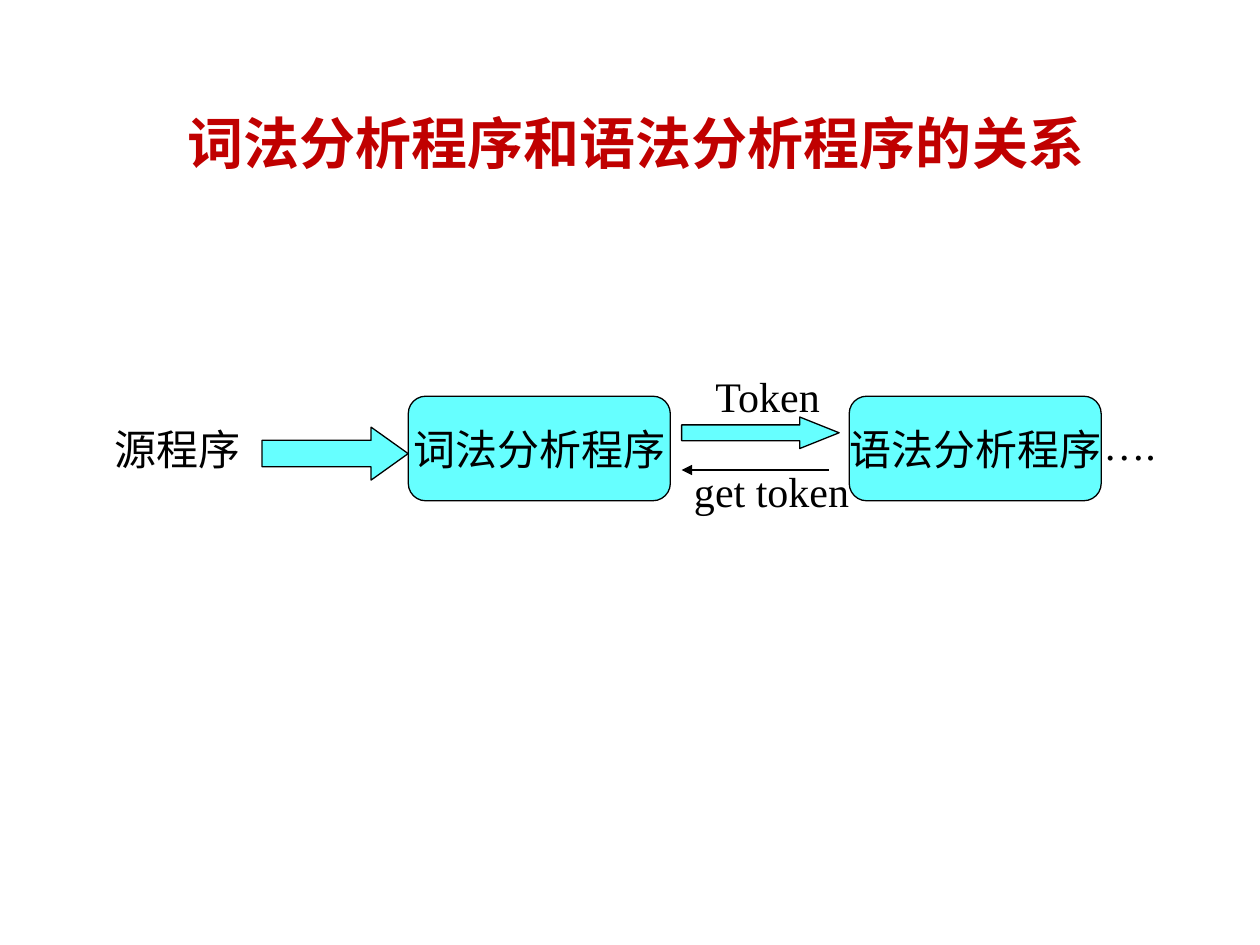
from dataclasses import dataclass
from typing import Optional

from lxml.etree import SubElement
from pptx import Presentation
from pptx.dml.color import RGBColor
from pptx.enum.shapes import MSO_CONNECTOR, MSO_SHAPE
from pptx.enum.text import MSO_ANCHOR, MSO_AUTO_SIZE, PP_ALIGN
from pptx.oxml.ns import qn
from pptx.util import Inches, Pt


@dataclass(frozen=True)
class Theme:
    font: str = "Times New Roman"
    title_size: int = 32
    label_size: int = 24
    line_width: float = 0.75
    title: RGBColor = RGBColor(0xC0, 0x00, 0x00)
    ink: RGBColor = RGBColor(0x00, 0x00, 0x00)
    paper: RGBColor = RGBColor(0xFF, 0xFF, 0xFF)
    accent: RGBColor = RGBColor(0x66, 0xFF, 0xFF)


@dataclass(frozen=True)
class Area:
    """A place on a grid of 100 columns and 75 rows."""
    column: float
    row: float
    columns: float
    rows: float


@dataclass(frozen=True)
class Stage:
    text: str
    column: float
    columns: float
    opacity: Optional[int] = None  # percent; None marks a solid, outlined box


@dataclass(frozen=True)
class Arrow:
    area: Area
    head: float


@dataclass(frozen=True)
class Label:
    text: str
    area: Area


THEME = Theme()
WIDTH, HEIGHT = Inches(10), Inches(7.5)
COLUMN, ROW = WIDTH / 100, HEIGHT / 75

TITLE = "词法分析程序和语法分析程序的关系"
TITLE_AREA = Area(7.5, 5, 85, 12.5)
STAGE_ROW, STAGE_ROWS = 31.45, 8.3
STAGES = [
    Stage("源程序", 8.3, 11.6, opacity=50),
    Stage("词法分析程序", 32.4, 20.8),
    Stage("语法分析程序", 67.4, 20),
]
ARROWS = [
    Arrow(Area(20.8, 33.9, 11.6, 4.2), head=0.7),
    Arrow(Area(54.1, 33.1, 12.5, 2.5), head=1.25),
]
LABELS = [
    Label("Token", Area(55.8, 28.95, 10.5, 5)),
    Label("get token", Area(54.1, 36.45, 14.3, 5)),
    Label("….", Area(86.6, 32.7, 6.4, 5)),
]
REQUEST_FROM, REQUEST_TO, REQUEST_ROW = 65.8, 54.1, 37.3


def place(area: Area) -> tuple[int, int, int, int]:
    return (round(area.column * COLUMN), round(area.row * ROW),
            round(area.columns * COLUMN), round(area.rows * ROW))


def write(text_frame, text: str, size: int, color: RGBColor,
          alignment: PP_ALIGN, bold: bool = False) -> None:
    text_frame.text = text
    paragraph = text_frame.paragraphs[0]
    paragraph.alignment = alignment
    font = paragraph.runs[0].font
    font.name, font.size, font.bold = THEME.font, Pt(size), bold
    font.color.rgb = color


def draw_title(slide) -> None:
    title = slide.shapes.title
    title.left, title.top, title.width, title.height = place(TITLE_AREA)
    text_frame = title.text_frame
    write(text_frame, TITLE, THEME.title_size, THEME.title, PP_ALIGN.CENTER, bold=True)
    text_frame.auto_size = MSO_AUTO_SIZE.NONE
    text_frame.vertical_anchor = MSO_ANCHOR.MIDDLE
    text_frame.margin_left = Inches(0.2)


def draw_shape(slide, preset: MSO_SHAPE, area: Area, fill: RGBColor, line: RGBColor):
    shape = slide.shapes.add_shape(preset, *place(area))
    shape.shadow.inherit = False
    shape.fill.solid()
    shape.fill.fore_color.rgb = fill
    shape.line.color.rgb = line
    shape.line.width = Pt(THEME.line_width)
    return shape


def draw_stage(slide, stage: Stage) -> None:
    solid = stage.opacity is None
    shape = draw_shape(slide, MSO_SHAPE.ROUNDED_RECTANGLE,
                       Area(stage.column, STAGE_ROW, stage.columns, STAGE_ROWS),
                       THEME.accent if solid else THEME.paper,
                       THEME.ink if solid else THEME.paper)
    if not solid:
        color = shape.element.spPr.find(qn("a:solidFill"))[0]
        SubElement(color, qn("a:alpha"), val=str(stage.opacity * 1000))
    text_frame = shape.text_frame
    write(text_frame, stage.text, THEME.label_size, THEME.ink, PP_ALIGN.CENTER)
    text_frame.word_wrap = False
    text_frame.vertical_anchor = MSO_ANCHOR.MIDDLE


def draw_arrow(slide, arrow: Arrow) -> None:
    shape = draw_shape(slide, MSO_SHAPE.RIGHT_ARROW, arrow.area, THEME.accent, THEME.ink)
    shape.adjustments[1] = arrow.head


def draw_label(slide, label: Label) -> None:
    text_frame = slide.shapes.add_textbox(*place(label.area)).text_frame
    write(text_frame, label.text, THEME.label_size, THEME.ink, PP_ALIGN.LEFT)
    text_frame.word_wrap = False
    text_frame.auto_size = MSO_AUTO_SIZE.SHAPE_TO_FIT_TEXT


def draw_request(slide) -> None:
    height = round(REQUEST_ROW * ROW)
    connector = slide.shapes.add_connector(
        MSO_CONNECTOR.STRAIGHT, round(REQUEST_FROM * COLUMN), height,
        round(REQUEST_TO * COLUMN), height)
    connector.line.color.rgb = THEME.ink
    connector.line.width = Pt(THEME.line_width)
    properties = connector.element.spPr
    SubElement(properties.find(qn("a:ln")), qn("a:tailEnd"), type="triangle")
    SubElement(properties, qn("a:effectLst"))


def main() -> None:
    presentation = Presentation()
    presentation.slide_width, presentation.slide_height = WIDTH, HEIGHT
    slide = presentation.slides.add_slide(presentation.slide_layouts[5])

    draw_title(slide)
    # Processing stages, left to right
    for stage in STAGES:
        draw_stage(slide, stage)
    # Data flow and the request that runs back
    for arrow in ARROWS:
        draw_arrow(slide, arrow)
    draw_request(slide)
    for label in LABELS:
        draw_label(slide, label)

    presentation.save("out.pptx")


if __name__ == "__main__":
    main()
